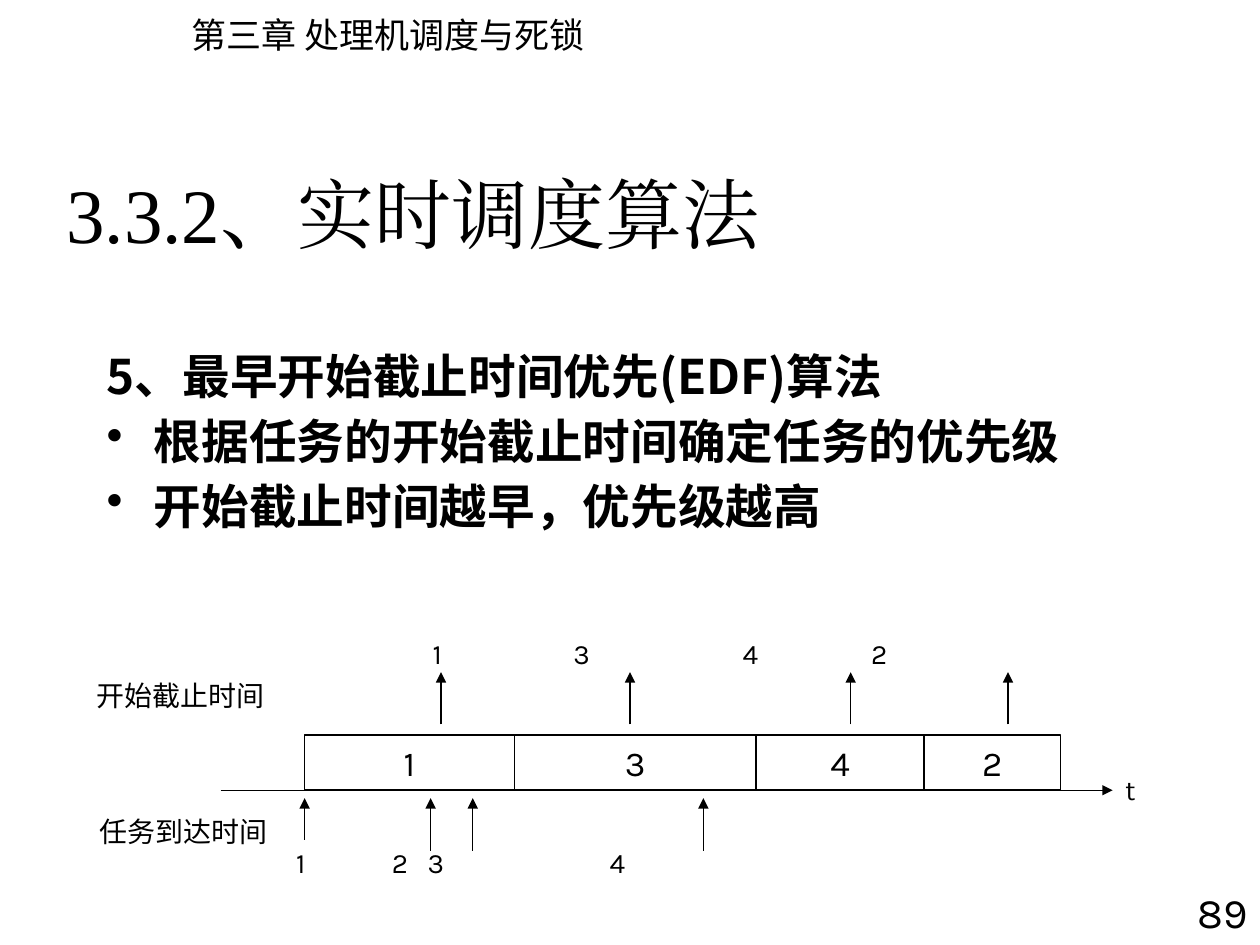
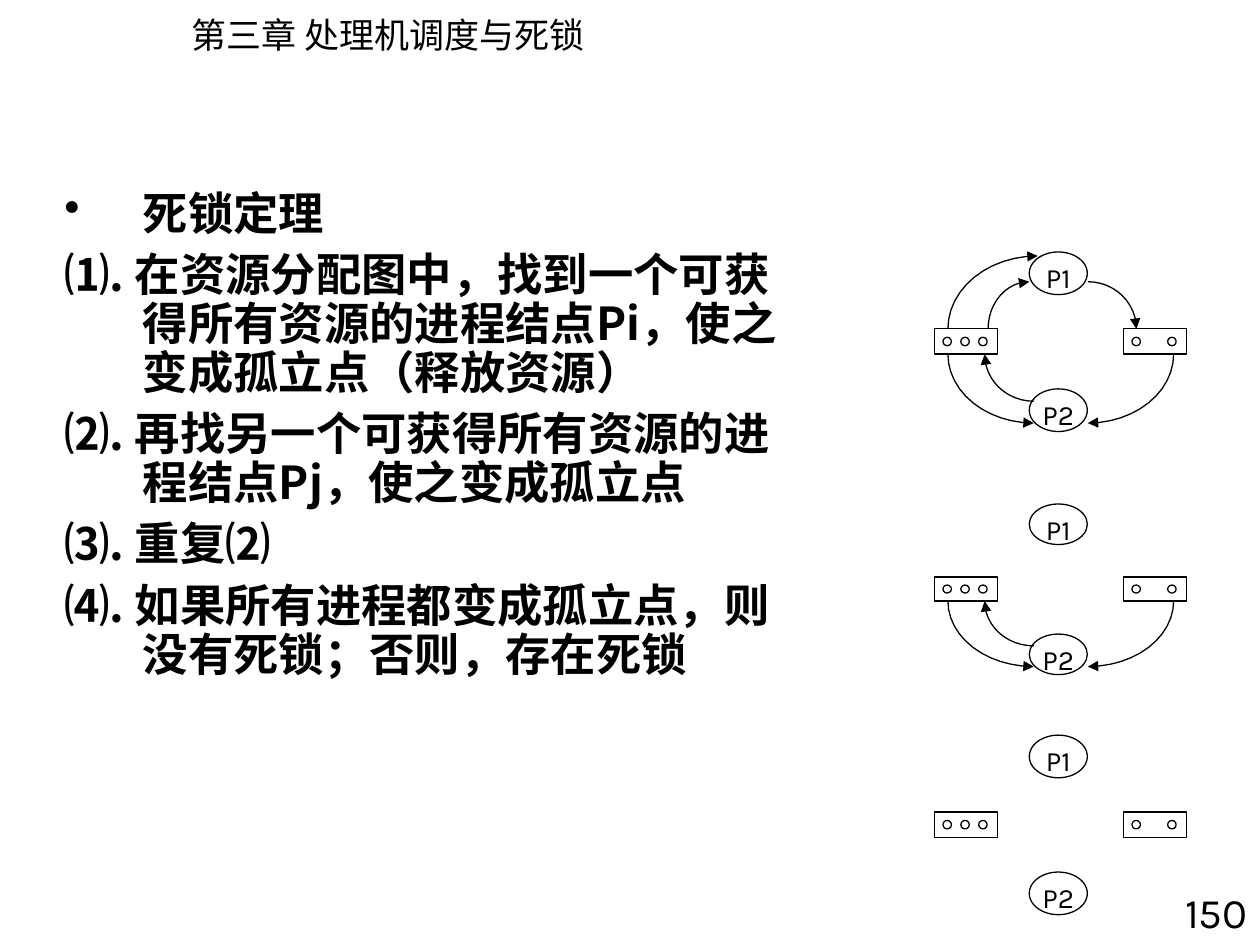
from itertools import accumulate
from math import cos, pi, sin

from lxml.etree import SubElement
from pptx import Presentation
from pptx.dml.color import RGBColor
from pptx.enum.shapes import MSO_CONNECTOR, MSO_SHAPE
from pptx.enum.text import MSO_ANCHOR, PP_ALIGN
from pptx.oxml.ns import qn
from pptx.util import Cm, Pt

BLACK = RGBColor(0, 0, 0)
WHITE = RGBColor(255, 255, 255)
HEADER_FONT = "Noto Sans CJK JP"
BODY_FONT = "Noto Sans CJK SC"
TITLE_FONT = "Times New Roman"
LABEL_FONT = "Karla"
LINE_WIDTH = Pt(0.75)
ARC_STEPS = 12

PROCESS_LEFT, PROCESS_WIDTH, PROCESS_HEIGHT = 20.75, 1.17, 0.86
RESOURCE_TOP, RESOURCE_WIDTH, RESOURCE_HEIGHT = 1.55, 1.27, 0.51
DOT_SIZE, DOT_MARGIN, DOT_PITCH = 0.17, 0.17, 0.36
RESOURCES = [(18.84, (0, 1, 2)), (22.65, (0, 2))]
PROCESSES = [("P1", 0), ("P2", 2.76)]

P1_ARCS = [
    ((21.93, 0.6), (22.91, 1.55), False),
    ((20.92, 0.08), (19.11, 1.55), True),
    ((20.75, 0.6), (19.92, 1.55), True),
]
P2_ARCS = [
    ((20.84, 3.45), (19.11, 2.06), True),
    ((20.84, 3.01), (19.85, 2.06), False),
    ((21.93, 3.45), (23.66, 2.06), True),
]


def style_span(span, font, size, bold=False):
    span.font.name = font
    span.font.size = Pt(size)
    span.font.bold = bold
    span.font.color.rgb = BLACK
    east_asian = SubElement(span.font._element, qn("a:ea"))
    east_asian.set("typeface", font)


def write(shape, text, font, size, align=PP_ALIGN.LEFT, tabs=()):
    frame = shape.text_frame
    frame.text = text
    para = frame.paragraphs[0]
    para.alignment = align
    if tabs:
        stops = SubElement(para._p.get_or_add_pPr(), qn("a:tabLst"))
        for stop in tabs:
            SubElement(stops, qn("a:tab"), pos=str(Cm(stop)), algn="l")
    for span in para.runs:
        style_span(span, font, size)


def add_text(page, area, text, font, size, align=PP_ALIGN.LEFT, tabs=(), wrap=True):
    box = page.shapes.add_textbox(*map(Cm, area))
    box.text_frame.word_wrap = wrap
    write(box, text, font, size, align, tabs)
    return box


def add_label(page, area, text, align=PP_ALIGN.LEFT, tabs=()):
    return add_text(page, area, text, LABEL_FONT, 16, align, tabs)


def add_body(page, area, items, size, indent, space, side_inset=0.25):
    box = page.shapes.add_textbox(*map(Cm, area))
    frame = box.text_frame
    frame.word_wrap = True
    frame.margin_left = frame.margin_right = Cm(side_inset)
    for index, (text, bulleted) in enumerate(items):
        para = frame.add_paragraph() if index else frame.paragraphs[0]
        para.text = text
        properties = para._p.get_or_add_pPr()
        properties.set("marL", str(Cm(indent)))
        properties.set("indent", str(-Cm(indent)))
        if bulleted:
            SubElement(properties, qn("a:buChar"), char="•")
        para.line_spacing = 0.9
        if index:
            para.space_before = Pt(space)
        style_span(para.runs[0], BODY_FONT, size, True)


def outline(shape):
    shape.line.color.rgb = BLACK
    shape.line.width = LINE_WIDTH


def add_outlined(page, kind, area):
    shape = page.shapes.add_shape(kind, *map(Cm, area))
    shape.shadow.inherit = False
    shape.fill.background()
    outline(shape)
    return shape


def add_arrowhead(shape):
    line = shape._element.spPr.find(qn("a:ln"))
    SubElement(line, qn("a:tailEnd"), type="triangle")


def add_arrow(page, start, end):
    arrow = page.shapes.add_connector(MSO_CONNECTOR.STRAIGHT, *map(Cm, start + end))
    outline(arrow)
    add_arrowhead(arrow)
    SubElement(arrow._element.spPr, qn("a:effectLst"))


def add_arc(page, process, resource, to_process):
    (process_x, process_y), (resource_x, resource_y) = process, resource
    angles = [step * pi / 2 / ARC_STEPS for step in range(ARC_STEPS + 1)]
    points = [
        (
            Cm(process_x + (resource_x - process_x) * sin(angle)),
            Cm(resource_y + (process_y - resource_y) * cos(angle)),
        )
        for angle in angles
    ]
    if to_process:
        points.reverse()
    builder = page.shapes.build_freeform(*points[0])
    builder.add_line_segments(points[1:], close=False)
    arc = builder.convert_to_shape()
    arc.shadow.inherit = False
    arc.fill.background()
    outline(arc)
    add_arrowhead(arc)


def add_page(deck, number):
    page = deck.slides.add_slide(deck.slide_layouts[6])
    page.background.fill.solid()
    page.background.fill.fore_color.rgb = WHITE
    add_text(page, (3.61, 0.15, 8.59, 1.12), "第三章 处理机调度与死锁",
             HEADER_FONT, 20, wrap=False)
    add_text(page, (23.28, 17.75, 2.12, 1.42), number,
             LABEL_FONT, 24, PP_ALIGN.RIGHT)
    return page


def add_timeline(page):
    left, top, height = 6.14, 14.82, 1.11
    names, widths = "1342", (4.23, 4.87, 3.39, 2.75)
    lefts = accumulate(widths, initial=left)
    for name, bar_left, width in zip(names, lefts, widths):
        bar = add_outlined(page, MSO_SHAPE.RECTANGLE, (bar_left, top, width, height))
        bar.text_frame.vertical_anchor = MSO_ANCHOR.TOP
        write(bar, name, LABEL_FONT, 20, PP_ALIGN.CENTER)

    axis = top + height
    add_arrow(page, (4.45, axis), (22.43, axis))
    add_label(page, (22.43, 15.45, 1.06, 0.94), "t")

    add_label(page, (1.7, 13.55, 4.01, 0.94), "开始截止时间")
    add_label(page, (8.47, 12.7, 12.5, 0.94), "1\t3\t4\t2", tabs=(2.84, 6.25, 8.84))
    for deadline in (8.89, 12.7, 17.15, 20.32):
        add_arrow(page, (deadline, 14.6), (deadline, 13.55))

    add_label(page, (1.7, 16.3, 4.01, 0.94), "任务到达时间", PP_ALIGN.CENTER)
    add_label(page, (5.72, 16.93, 9.74, 0.94), "1\t2\t3\t4", tabs=(1.93, 2.65, 6.32))
    for arrival, bottom in ((left, 16.93), (8.68, 17.15), (9.53, 17.15), (14.18, 17.15)):
        add_arrow(page, (arrival, bottom), (arrival, 16.09))


def add_resource_graph(page, top, arcs, scale=1):
    def down(offset):
        return top + offset * scale

    for name, offset in PROCESSES:
        add_outlined(page, MSO_SHAPE.OVAL, (
            PROCESS_LEFT, down(offset), PROCESS_WIDTH, PROCESS_HEIGHT * scale))
        label = add_label(page, (PROCESS_LEFT, down(offset) + 0.17, PROCESS_WIDTH, 0.81),
                          name, PP_ALIGN.CENTER)
        frame = label.text_frame
        frame.margin_left = frame.margin_right = frame.margin_top = 0

    for left, slots in RESOURCES:
        add_outlined(page, MSO_SHAPE.RECTANGLE, (
            left, down(RESOURCE_TOP), RESOURCE_WIDTH, RESOURCE_HEIGHT * scale))
        for slot in slots:
            add_outlined(page, MSO_SHAPE.OVAL, (
                left + DOT_MARGIN + slot * DOT_PITCH,
                down(RESOURCE_TOP + DOT_MARGIN), DOT_SIZE, DOT_SIZE * scale))

    for (process_x, process_y), (resource_x, resource_y), to_process in arcs:
        add_arc(page, (process_x, down(process_y)),
                (resource_x, down(resource_y)), to_process)


def build_scheduling(deck):
    page = add_page(deck, "89")
    title = add_text(page, (1.09, 3.33, 22.86, 1.9), "3.3.2、实时调度算法", TITLE_FONT, 44)
    title.text_frame.vertical_anchor = MSO_ANCHOR.MIDDLE
    add_body(page, (1.9, 6.99, 21.11, 4.24), [
        ("5、最早开始截止时间优先(EDF)算法", False),
        ("根据任务的开始截止时间确定任务的优先级", True),
        ("开始截止时间越早，优先级越高", True),
    ], 27.2, 0.95, 8)
    add_timeline(page)


def build_deadlock(deck):
    page = add_page(deck, "150")
    add_body(page, (1.3, 3.73, 15.04, 12.07), [
        ("死锁定理", True),
        ("⑴. 在资源分配图中，找到一个可获得所有资源的进程结点Pi，使之变成孤立点（释放资源）", False),
        ("⑵. 再找另一个可获得所有资源的进程结点Pj，使之变成孤立点", False),
        ("⑶. 重复⑵", False),
        ("⑷. 如果所有进程都变成孤立点，则没有死锁；否则，存在死锁", False),
    ], 25.9, 1.58, 7, side_inset=0)
    add_resource_graph(page, 5.08, P1_ARCS + P2_ARCS)
    add_resource_graph(page, 10.16, P2_ARCS, scale=0.95)
    add_resource_graph(page, 14.82, [])


def main():
    deck = Presentation()
    deck.slide_width, deck.slide_height = Cm(25.4), Cm(19.05)
    build_scheduling(deck)
    build_deadlock(deck)
    deck.save("out.pptx")


if __name__ == "__main__":
    main()
